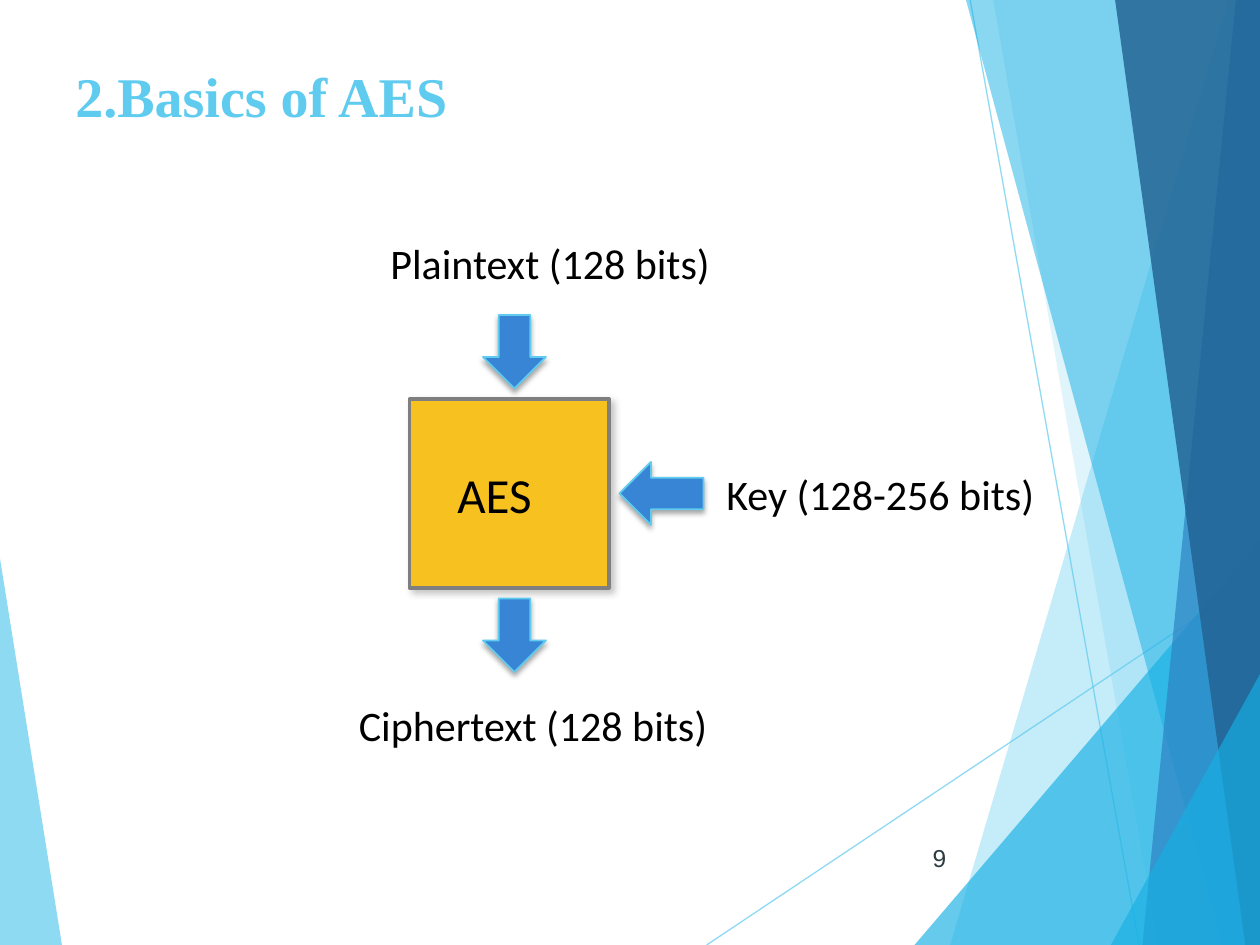
import pptx
import pptx.dml.color
import pptx.enum.shapes
import pptx.enum.text
import pptx.oxml
import pptx.oxml.ns
import pptx.util

SHAPES = pptx.enum.shapes.MSO_SHAPE
ANCHOR = pptx.enum.text.MSO_ANCHOR
ALIGN = pptx.enum.text.PP_ALIGN
COLUMNS, ROWS = 120, 90
SKY, CYAN, BLUE, NAVY = "5FCBEF", "17B0E4", "2E83C3", "226292"


def color(value):
    return pptx.dml.color.RGBColor.from_string(value)


def set_alpha(fill, percent):
    """Make a solid fill partly transparent; 100 is opaque."""
    element = fill._xPr.find(".//" + pptx.oxml.ns.qn("a:srgbClr"))
    alpha = element.makeelement(pptx.oxml.ns.qn("a:alpha"), {"val": str(percent * 1000)})
    element.append(alpha)


def set_effects(shape, shadow=None):
    """Give the shape one outer shadow (colour, alpha, blur, distance, angle), or none."""
    content = ""
    if shadow:
        value, alpha, blur, distance, angle = shadow
        content = (
            f'<a:outerShdw blurRad="{pptx.util.Pt(blur)}" dist="{pptx.util.Pt(distance)}" '
            f'dir="{angle * 60000}" algn="ctr" rotWithShape="0"><a:srgbClr val="{value}">'
            f'<a:alpha val="{alpha * 1000}"/></a:srgbClr></a:outerShdw>'
        )
    namespace = pptx.oxml.ns.nsdecls("a")
    effects = pptx.oxml.parse_xml(f"<a:effectLst {namespace}>{content}</a:effectLst>")
    properties = shape._element.spPr
    for old in properties.findall(pptx.oxml.ns.qn("a:effectLst")):
        properties.remove(old)
    properties.append(effects)


def write_text(shape, text, size=24, font="Calibri", fill="000000", bold=False,
               align=ALIGN.LEFT, anchor=ANCHOR.TOP, wrap=True, left_margin=0.1):
    frame = shape.text_frame
    frame.word_wrap = wrap
    frame.vertical_anchor = anchor
    frame.margin_left = pptx.util.Inches(left_margin)
    paragraph = frame.paragraphs[0]
    paragraph.alignment = align
    run = paragraph.add_run()
    run.text = text
    run.font.size = pptx.util.Pt(size)
    run.font.name = font
    run.font.bold = bold
    run.font.color.rgb = color(fill)


class SlideBuilder:
    """Places elements on a 120 by 90 grid that spans the slide."""

    arrow_shadow = ("000000", 35, 3, 2, 90)
    box_shadow = ("808080", 43, 4, 3, 45)

    def __init__(self, presentation):
        self.slide = presentation.slides.add_slide(presentation.slide_layouts[6])
        self.shapes = self.slide.shapes
        self.column = presentation.slide_width / COLUMNS
        self.row = presentation.slide_height / ROWS

    def point(self, x, y):
        return round(x * self.column), round(y * self.row)

    def area(self, x, y, width, height):
        return *self.point(x, y), *self.point(width, height)

    def facet(self, points, fill, alpha):
        start, *others = [self.point(*point) for point in points]
        builder = self.shapes.build_freeform(*start)
        builder.add_line_segments(others, close=True)
        shape = builder.convert_to_shape()
        shape.fill.solid()
        shape.fill.fore_color.rgb = color(fill)
        set_alpha(shape.fill, alpha)
        shape.line.fill.background()
        shape.shadow.inherit = False

    def line(self, start, end):
        connector = self.shapes.add_connector(
            pptx.enum.shapes.MSO_CONNECTOR.STRAIGHT, *self.point(*start), *self.point(*end))
        connector.line.width = pptx.util.Pt(0.75)
        connector.line.color.rgb = color(SKY)
        set_alpha(connector.line.fill, 70)
        set_effects(connector)

    def text(self, text, area, **style):
        write_text(self.shapes.add_textbox(*self.area(*area)), text, **style)

    def block(self, kind, area, fill, line, width, shadow):
        shape = self.shapes.add_shape(kind, *self.area(*area))
        shape.fill.solid()
        shape.fill.fore_color.rgb = color(fill)
        shape.line.color.rgb = color(line)
        shape.line.width = pptx.util.Pt(width)
        set_effects(shape, shadow)
        return shape

    def arrow(self, kind, area):
        self.block(kind, area, "3885D6", SKY, 1, self.arrow_shadow)


def draw_background(builder):
    builder.facet([(0, 53.2), (5.9, ROWS), (0, ROWS)], SKY, 70)
    builder.line((67.3, ROWS), (COLUMNS, 54.8))
    builder.line((92.4, 0), (108.5, ROWS))
    bands = [
        (117, 90.5, SKY, 36),
        (94.6, 110.3, SKY, 20),
        (None, 87.1, CYAN, 66),
        (92, 116.4, CYAN, 50),
        (117.7, 108.8, BLUE, 70),
        (106.2, 118.6, NAVY, 82),
        (None, 105.8, CYAN, 66),
    ]
    corner_tops = iter((51.5, 64.2))
    for top, bottom, fill, alpha in bands:
        if top is None:
            upper = [(COLUMNS, next(corner_tops))]
        else:
            upper = [(top, 0), (COLUMNS, 0)]
        builder.facet([(bottom, ROWS), *upper, (COLUMNS, ROWS)], fill, alpha)


def draw_diagram(builder):
    cipher = builder.block(SHAPES.RECTANGLE, (39, 38, 19, 18), "F7C120", "7F7F7F", 2,
                           builder.box_shadow)
    write_text(cipher, "AES", size=28, anchor=ANCHOR.MIDDLE, left_margin=0.38)
    labels = [
        ("Plaintext (128 bits)", 36, 22, 33.4),
        ("Ciphertext (128 bits)", 33, 66, 37.2),
        ("Key (128-256 bits)", 68, 44, 32.5),
    ]
    for text, x, y, width in labels:
        builder.text(text, (x, y, width, 6.1), wrap=False)
    for y in (30, 57):
        builder.arrow(SHAPES.DOWN_ARROW, (46, y, 6, 7))
    builder.arrow(SHAPES.LEFT_ARROW, (59, 44, 8, 6))


def main():
    presentation = pptx.Presentation()
    presentation.slide_width = pptx.util.Inches(10)
    presentation.slide_height = pptx.util.Inches(7.5)
    builder = SlideBuilder(presentation)
    draw_background(builder)
    builder.text("2.Basics of AES", (6, 5.3, 108, 16.7), size=32,
                 font="Times New Roman", fill=SKY, bold=True)
    builder.text("9", (84.6, 79.3, 6.7, 4.8), size=14, font="Arial", fill="2C3C43",
                 align=ALIGN.RIGHT, anchor=ANCHOR.MIDDLE)
    draw_diagram(builder)
    presentation.save("out.pptx")


if __name__ == "__main__":
    main()
